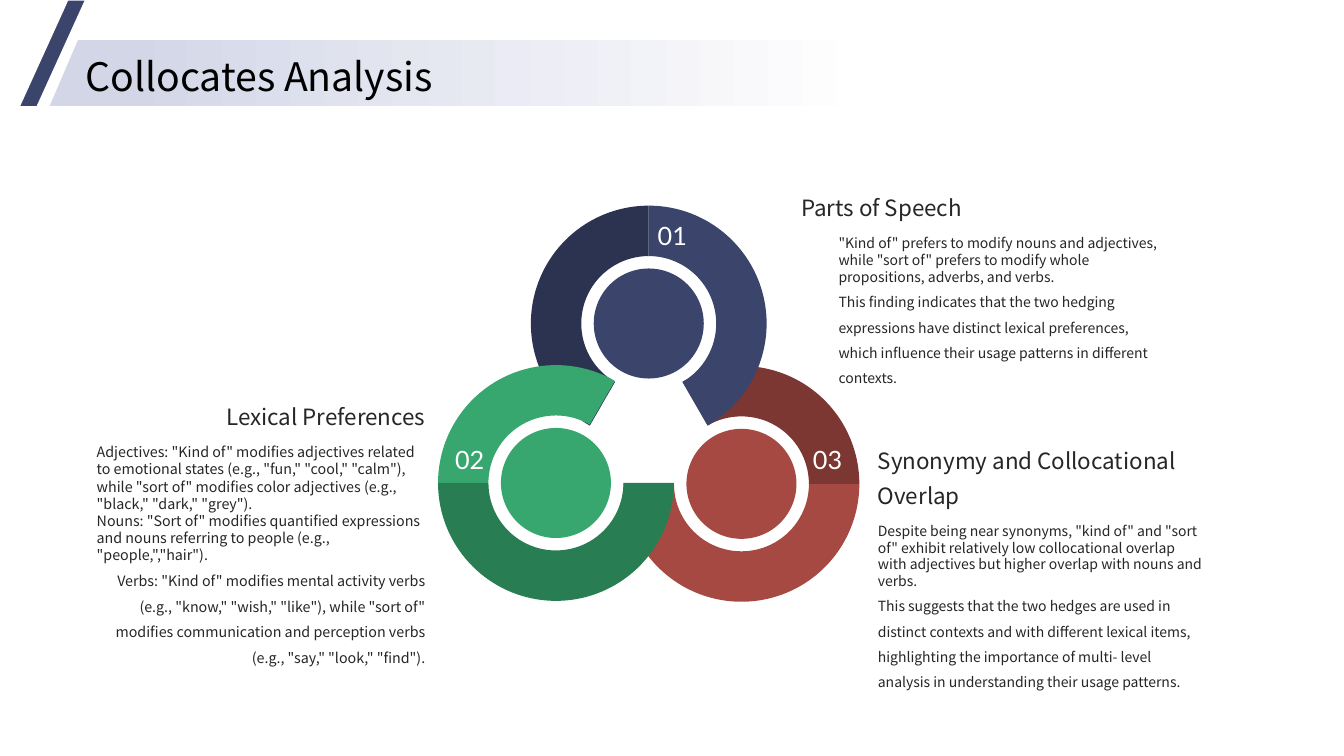
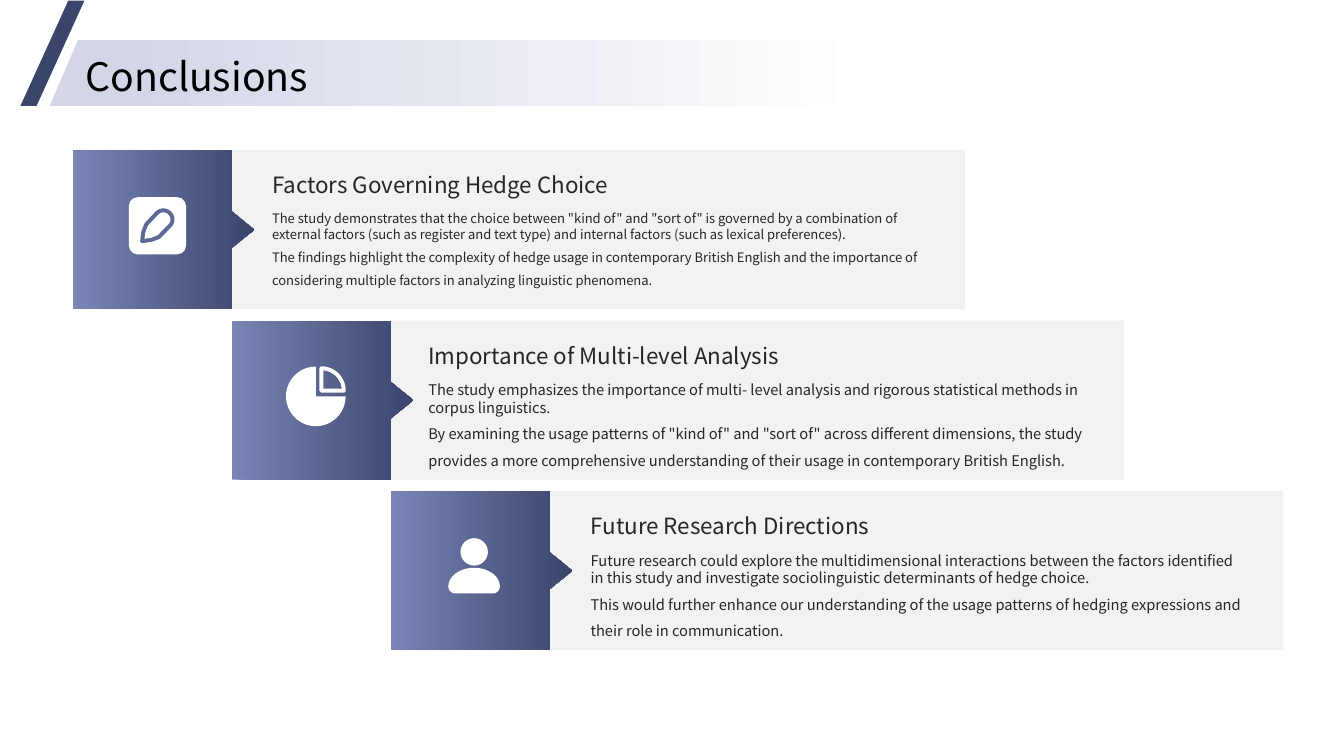
from math import cos, radians, sin

from pptx import Presentation
from pptx.dml.color import RGBColor
from pptx.enum.shapes import MSO_SHAPE
from pptx.enum.text import MSO_ANCHOR, PP_ALIGN
from pptx.util import Pt

# Shared style
NAVY = RGBColor(0x3B, 0x44, 0x6B)
DUSK = RGBColor(0x2C, 0x33, 0x50)
RED = RGBColor(0xA6, 0x49, 0x42)
MAROON = RGBColor(0x7C, 0x37, 0x32)
GREEN = RGBColor(0x37, 0xA7, 0x6F)
FOREST = RGBColor(0x29, 0x7D, 0x53)
MIST = RGBColor(0xD3, 0xD6, 0xE7)
BLUE = RGBColor(0x7A, 0x85, 0xB6)
SLATE = RGBColor(0x5E, 0x68, 0x95)
GREY = RGBColor(0xF2, 0xF2, 0xF2)
INK = RGBColor(0x26, 0x26, 0x26)
BLACK = RGBColor(0, 0, 0)
WHITE = RGBColor(0xFF, 0xFF, 0xFF)
SANS, LATO = "Noto Sans CJK SC", "Lato"
LEFT, RIGHT, MID = PP_ALIGN.LEFT, PP_ALIGN.RIGHT, PP_ALIGN.CENTER
TOP, BASE = MSO_ANCHOR.TOP, MSO_ANCHOR.BOTTOM

# Collocates: heading, heading place, body place, size, alignment, paragraphs
TOPICS = [
    ("Parts of Speech", (572.4, 110.9), (599, 167.8), 10, LEFT, [
        "\"Kind of\" prefers to modify nouns and adjectives, while \"sort of\" prefers "
        "to modify whole propositions, adverbs, and verbs.",
        "This finding indicates that the two hedging expressions have distinct lexical "
        "preferences, which influence their usage patterns in different contexts."]),
    ("Lexical Preferences", (69.1, 260.6), (69.1, 316.8), 10.2, RIGHT, [
        "Adjectives: \"Kind of\" modifies adjectives related to emotional states (e.g., "
        "\"fun,\" \"cool,\" \"calm\"), while \"sort of\" modifies color adjectives (e.g., "
        "\"black,\" \"dark,\" \"grey\").",
        "Nouns: \"Sort of\" modifies quantified expressions and nouns referring to people "
        "(e.g., \"people,\",\"hair\").",
        "Verbs: \"Kind of\" modifies mental activity verbs (e.g., \"know,\" \"wish,\" "
        "\"like\"), while \"sort of\" modifies communication and perception verbs (e.g., "
        "\"say,\" \"look,\" \"find\")."]),
    ("Synonymy and Collocational Overlap", (627.1, 316.8), (627.1, 373), 10, LEFT, [
        "Despite being near synonyms, \"kind of\" and \"sort of\" exhibit relatively low "
        "collocational overlap with adjectives but higher overlap with nouns and verbs.",
        "This suggests that the two hedges are used in distinct contexts and with "
        "different lexical items, highlighting the importance of multi- level analysis "
        "in understanding their usage patterns."]),
]

# Ring centres; arcs run clockwise from east, listed back to front
HUBS = {"top": (463.4, 231.1), "left": (397.1, 345), "right": (529.6, 345.6)}
ARCS = [
    ("right", 0, 180, RED), ("right", 240, 360, MAROON), ("top", 120, 270, DUSK),
    ("left", 180, 300, GREEN), ("left", 0, 180, FOREST), ("top", 270, 60, NAVY),
]
DISCS = [("top", NAVY), ("left", GREEN), ("right", RED)]
MARKS = [("01", 457.2, 154.8), ("02", 312.5, 314.6), ("03", 568.1, 314.6)]
OUTER, BAND, DISC = 84.2, 36, 39.3

# Conclusions: heading, text left, size, paragraphs
POINTS = [
    ("Factors Governing Hedge Choice", 194.4, 9.3, [
        "The study demonstrates that the choice between \"kind of\" and \"sort of\" is "
        "governed by a combination of external factors (such as register and text type) "
        "and internal factors (such as lexical preferences).",
        "The findings highlight the complexity of hedge usage in contemporary British "
        "English and the importance of considering multiple factors in analyzing "
        "linguistic phenomena."]),
    ("Importance of Multi-level Analysis", 306, 10.5, [
        "The study emphasizes the importance of multi- level analysis and rigorous "
        "statistical methods in corpus linguistics.",
        "By examining the usage patterns of \"kind of\" and \"sort of\" across different "
        "dimensions, the study provides a more comprehensive understanding of their "
        "usage in contemporary British English."]),
    ("Future Research Directions", 421.9, 10.5, [
        "Future research could explore the multidimensional interactions between the "
        "factors identified in this study and investigate sociolinguistic determinants "
        "of hedge choice.",
        "This would further enhance our understanding of the usage patterns of hedging "
        "expressions and their role in communication."]),
]


def paint(part, fill=None, line=None, width=1):
    part.shadow.inherit = False
    if fill is None:
        part.fill.background()
    else:
        part.fill.solid()
        part.fill.fore_color.rgb = fill
    if line is None:
        part.line.fill.background()
    else:
        part.line.color.rgb = line
        part.line.width = Pt(width)
    return part


def fade(part, *stops):
    part.fill.gradient()
    part.fill.gradient_angle = 0
    for stop, (place, tint) in zip(part.fill.gradient_stops, stops):
        stop.position = place
        stop.color.rgb = tint


def shape(slide, kind, box, fill=None, line=None, adjust=()):
    part = slide.shapes.add_shape(kind, *map(Pt, box))
    for i, value in enumerate(adjust):
        part.adjustments[i] = value
    return paint(part, fill, line)


def outline(slide, dots, fill=None, line=None, width=1):
    first, *rest = [(Pt(x), Pt(y)) for x, y in dots]
    pen = slide.shapes.build_freeform(*first)
    pen.add_line_segments(rest, close=True)
    return paint(pen.convert_to_shape(), fill, line, width)


def arc(x, y, wide, high, start, end, steps=24):
    turns = [radians(start + (end - start) * i / steps) for i in range(steps + 1)]
    return [(x + wide * cos(t), y + high * sin(t)) for t in turns]


def write(slide, box, lines, size, color=INK, font=SANS, anchor=TOP):
    """Each line is (text, alignment, line spacing)."""
    frame = slide.shapes.add_textbox(*map(Pt, box)).text_frame
    frame.word_wrap = True
    frame.vertical_anchor = anchor
    frame.margin_left = frame.margin_right = 0
    frame.margin_top = frame.margin_bottom = 0
    for i, (text, align, space) in enumerate(lines):
        para = frame.add_paragraph() if i else frame.paragraphs[0]
        para.alignment, para.line_spacing = align, space
        run = para.add_run()
        run.text = text
        run.font.size, run.font.name = Pt(size), font
        run.font.color.rgb = color


def body(slide, box, paras, size, align=LEFT):
    # Tight opening paragraphs, then an airy last one
    lines = [(text, LEFT, 1.0) for text in paras[:-1]]
    write(slide, box, lines + [(paras[-1], align, 1.5)], size)


def header(slide, title):
    kind = MSO_SHAPE.PARALLELOGRAM
    band = shape(slide, kind, (34.6, 28.1, 631.4, 48.2), MIST, WHITE, [0.43])
    fade(band, (0.08, MIST), (0.93, WHITE))
    write(slide, (61.2, 33.8, 465.8, 36.7), [(title, LEFT, 1.1)], 28, BLACK,
          anchor=MSO_ANCHOR.MIDDLE)
    shape(slide, kind, (13.7, 0, 47.5, 76.3), NAVY, WHITE, [0.73])


def rings(slide):
    for hub, start, end, tint in ARCS:
        x, y = HUBS[hub]
        # Angles are stored in 0.6 units per degree
        shape(slide, MSO_SHAPE.BLOCK_ARC,
              (x - OUTER, y - OUTER, 2 * OUTER, 2 * OUTER), tint,
              adjust=[start * 0.6, end * 0.6, BAND / (2 * OUTER)])
    for hub, tint in DISCS:
        x, y = HUBS[hub]
        shape(slide, MSO_SHAPE.OVAL, (x - DISC, y - DISC, 2 * DISC, 2 * DISC), tint)
    for mark, x, y in MARKS:
        write(slide, (x, y, 46.1, 24.5), [(mark, MID, 1.3)], 18, WHITE, LATO, BASE)


def pencil(slide, x, y):
    shape(slide, MSO_SHAPE.ROUNDED_RECTANGLE, (x - 20.5, y - 20.5, 41, 41), WHITE,
          adjust=[0.16])
    dots = [(x - 11, y + 11), (x - 10, y + 4), (x - 8, y - 1)]
    dots += arc(x + 4.2, y - 4.5, 6.5, 6.5, 225, 405)
    dots += [(x + 1, y + 8), (x - 4, y + 10)]
    outline(slide, dots, WHITE, SLATE, 2.8)


def pie(slide, x, y):
    shape(slide, MSO_SHAPE.PIE, (x - 21.3, y - 21.3, 42.6, 42.6), WHITE)
    hub = (x + 4, y - 4)
    outline(slide, [hub] + arc(*hub, 16, 16, 270, 360), line=WHITE, width=2.8)


def person(slide, x, y):
    shape(slide, MSO_SHAPE.OVAL, (x - 9.8, y - 20, 19.6, 19.6), WHITE)
    dots = arc(x, y + 14.5, 18.4, 13.3, 180, 360)
    dots += arc(x + 13.4, y + 14.5, 5, 5, 0, 90)
    dots += arc(x - 13.4, y + 14.5, 5, 5, 90, 180)
    outline(slide, dots, WHITE)


def cards(slide):
    side, drop, tip, half = 113.6, 121.8, 16, 13
    icons = [(pencil, 60.5, 54), (pie, 60, 54), (person, 59.5, 53.5)]
    for i, (head, left, size, paras) in enumerate(POINTS):
        x, y = 52 + i * side, 107.3 + i * drop
        edge, mid = x + side, y + side / 2
        shape(slide, MSO_SHAPE.RECTANGLE, (edge - 0.5, y, 524.2, side), GREY)
        tab = outline(slide, [
            (x, y), (edge, y), (edge, mid - half), (edge + tip, mid),
            (edge, mid + half), (edge, y + side), (x, y + side)], BLUE)
        fade(tab, (0, BLUE), (1, NAVY))
        icon, right, down = icons[i]
        icon(slide, x + right, y + down)
        write(slide, (left, y + 11.2, 468, 33.1), [(head, LEFT, 1.2)], 16)
        body(slide, (left, y + 43, 468, 62.6), paras, size)


def main():
    deck = Presentation()
    deck.slide_width, deck.slide_height = Pt(960), Pt(540)
    blank = deck.slide_layouts[6]

    # Collocates
    slide = deck.slides.add_slide(blank)
    rings(slide)
    for head, place, spot, size, align, paras in TOPICS:
        write(slide, (*place, 234.7, 46.8), [(head, align, 1.3)], 16, anchor=BASE)
        body(slide, (*spot, 234.7, 83.5), paras, size, align)
    header(slide, "Collocates Analysis")

    # Conclusions
    slide = deck.slides.add_slide(blank)
    cards(slide)
    header(slide, "Conclusions")
    deck.save("out.pptx")


if __name__ == "__main__":
    main()
